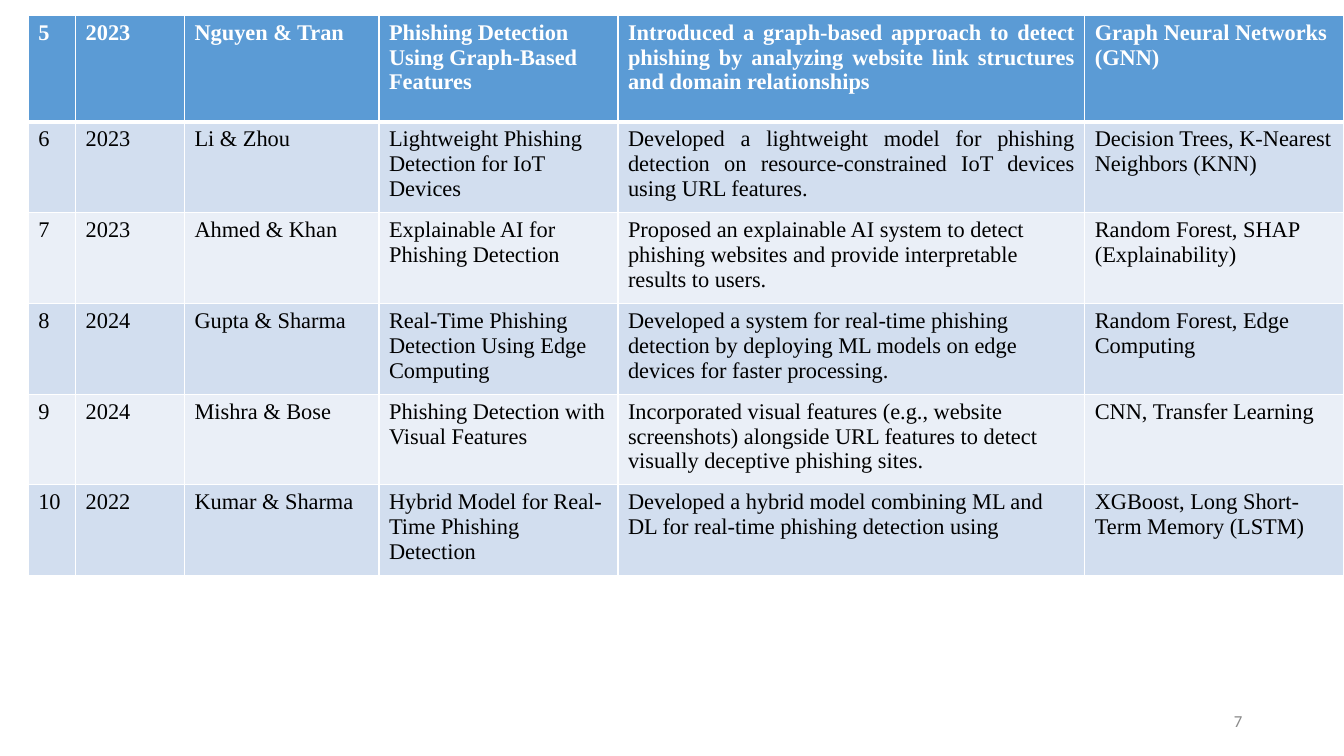
from lxml import etree
from pptx import Presentation
from pptx.dml.color import RGBColor
from pptx.enum.text import MSO_ANCHOR, PP_ALIGN
from pptx.oxml.ns import qn
from pptx.util import Inches, Pt

LEFT, RIGHT, JUSTIFY = PP_ALIGN.LEFT, PP_ALIGN.RIGHT, PP_ALIGN.JUSTIFY
MIDDLE = MSO_ANCHOR.MIDDLE

WHITE = RGBColor(0xFF, 0xFF, 0xFF)
BLACK = RGBColor(0x00, 0x00, 0x00)
GRAY = RGBColor(0x89, 0x89, 0x89)
HEADER_BLUE = RGBColor(0x5B, 0x9B, 0xD5)
BAND_DARK = RGBColor(0xD2, 0xDE, 0xEF)
BAND_LIGHT = RGBColor(0xEA, 0xEF, 0xF7)

# Content: number, year, authors, title, contribution, methods
STUDIES = [
    ("5", "2023", "Nguyen & Tran", "Phishing Detection Using Graph-Based Features",
     "Introduced a graph-based approach to detect phishing by analyzing website "
     "link structures and domain relationships",
     "Graph Neural Networks (GNN)"),
    ("6", "2023", "Li & Zhou", "Lightweight Phishing Detection for IoT Devices",
     "Developed a lightweight model for phishing detection on resource-constrained "
     "IoT devices using URL features.",
     "Decision Trees, K-Nearest Neighbors (KNN)"),
    ("7", "2023", "Ahmed & Khan", "Explainable AI for Phishing Detection",
     "Proposed an explainable AI system to detect phishing websites and provide "
     "interpretable results to users.",
     "Random Forest, SHAP (Explainability)"),
    ("8", "2024", "Gupta & Sharma", "Real-Time Phishing Detection Using Edge Computing",
     "Developed a system for real-time phishing detection by deploying ML models "
     "on edge devices for faster processing.",
     "Random Forest, Edge Computing"),
    ("9", "2024", "Mishra & Bose", "Phishing Detection with Visual Features",
     "Incorporated visual features (e.g., website screenshots) alongside URL "
     "features to detect visually deceptive phishing sites.",
     "CNN, Transfer Learning"),
    ("10", "2022", "Kumar & Sharma", "Hybrid Model for Real-Time Phishing Detection",
     "Developed a hybrid model combining ML and DL for real-time phishing "
     "detection using",
     "XGBoost, Long Short-Term Memory (LSTM)"),
]
PAGE_NUMBER = "7"
COLUMN_WIDTHS = [0.47, 1.08, 1.93, 2.37, 4.63, 2.57]
HEADER_HEIGHT, ROW_HEIGHT = 1.06, 0.8
CONTRIBUTION_COLUMN = 4
JUSTIFIED_ROWS = (0, 1)


def write_text(text_frame, text, font="Times New Roman", size=16, color=BLACK,
               bold=False, align=LEFT):
    text_frame.word_wrap = True
    paragraph = text_frame.paragraphs[0]
    paragraph.alignment = align
    run = paragraph.add_run()
    run.text = text
    run.font.name = font
    run.font.size = Pt(size)
    run.font.bold = bold
    run.font.color.rgb = color


def add_borders(cell, widths):
    """Draw white cell borders; widths maps a side tag to points."""
    properties = cell._tc.get_or_add_tcPr()
    for position, (side, width) in enumerate(widths.items()):
        line = etree.Element(qn(f"a:{side}"), w=str(Pt(width)))
        fill = etree.SubElement(line, qn("a:solidFill"))
        etree.SubElement(fill, qn("a:srgbClr"), val=str(WHITE))
        properties.insert(position, line)


presentation = Presentation()
presentation.slide_width = Inches(13.33)
presentation.slide_height = Inches(7.5)
slide = presentation.slides.add_slide(presentation.slide_layouts[6])

# Page number
number_box = slide.shapes.add_textbox(Inches(9.42), Inches(6.95), Inches(3), Inches(0.4))
number_box.text_frame.vertical_anchor = MIDDLE
write_text(number_box.text_frame, PAGE_NUMBER, font="Calibri", size=12,
           color=GRAY, align=RIGHT)

# Literature table
row_heights = [HEADER_HEIGHT] + [ROW_HEIGHT] * (len(STUDIES) - 1)
table = slide.shapes.add_table(
    len(STUDIES), len(COLUMN_WIDTHS), Inches(0.28), Inches(0.15),
    Inches(sum(COLUMN_WIDTHS)), Inches(sum(row_heights))).table
for column, width in zip(table.columns, COLUMN_WIDTHS):
    column.width = Inches(width)
for row, height in zip(table.rows, row_heights):
    row.height = Inches(height)

for row_index, study in enumerate(STUDIES):
    is_header = row_index == 0
    band = BAND_DARK if row_index % 2 else BAND_LIGHT
    borders = {"lnL": 1, "lnR": 1, "lnT": 3 if row_index == 1 else 1,
               "lnB": 3 if is_header else 1}
    for column_index, text in enumerate(study):
        cell = table.cell(row_index, column_index)
        cell.fill.solid()
        cell.fill.fore_color.rgb = HEADER_BLUE if is_header else band
        add_borders(cell, borders)
        justified = column_index == CONTRIBUTION_COLUMN and row_index in JUSTIFIED_ROWS
        write_text(cell.text_frame, text, bold=is_header,
                   color=WHITE if is_header else BLACK,
                   align=JUSTIFY if justified else LEFT)

presentation.save("out.pptx")
